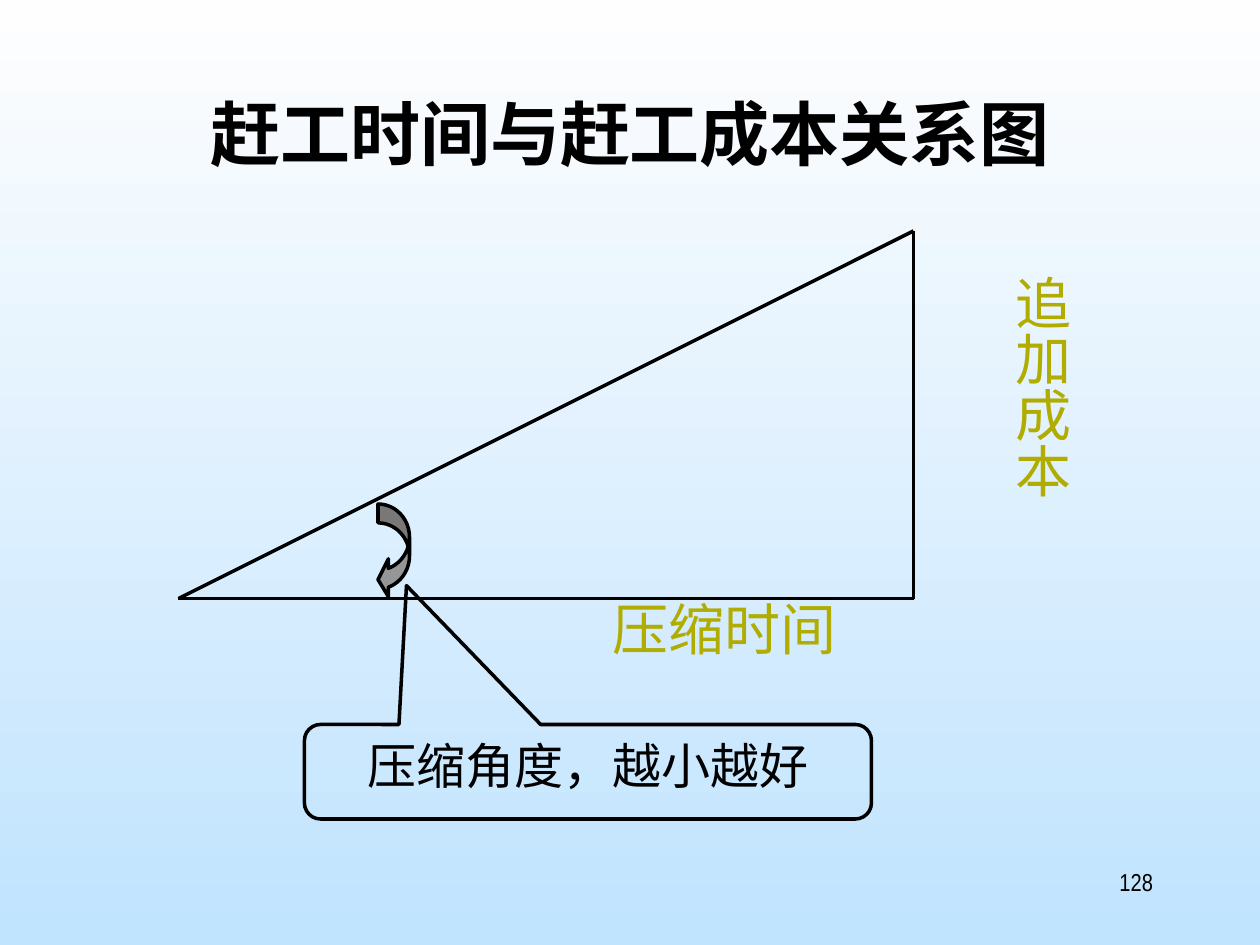
from dataclasses import dataclass

from pptx import Presentation
from pptx.dml.color import RGBColor
from pptx.enum.shapes import MSO_CONNECTOR, MSO_SHAPE
from pptx.enum.text import MSO_ANCHOR, PP_ALIGN
from pptx.oxml.ns import qn
from pptx.util import Inches, Pt


@dataclass(frozen=True)
class Theme:
    """Colours, fonts and sizes of the slide."""
    ink: RGBColor = RGBColor.from_string("000000")
    accent: RGBColor = RGBColor.from_string("B0AC00")
    arrow: RGBColor = RGBColor.from_string("969696")
    sky: tuple = (RGBColor.from_string("FEFEFE"), RGBColor.from_string("C0E3FE"))
    heading_font: str = "Noto Sans CJK SC"
    body_font: str = "Arial Narrow"
    title: int = 40
    label: int = 32
    note: int = 28
    number: int = 14
    stroke: int = 2


class DiagramSlide:
    """Draws elements on a grid of 120 columns and 90 rows."""

    def __init__(self, presentation, theme):
        self.theme = theme
        self.column = presentation.slide_width / 120
        self.row = presentation.slide_height / 90
        self.slide = presentation.slides.add_slide(presentation.slide_layouts[6])

    def place(self, left, top, width, height):
        """Turn grid units into slide lengths."""
        return (round(left * self.column), round(top * self.row),
                round(width * self.column), round(height * self.row))

    def background(self):
        """Fill the slide with a gradient from top to bottom."""
        fill = self.slide.background.fill
        fill.gradient()
        fill.gradient_angle = 270
        for stop, colour in zip(fill.gradient_stops, self.theme.sky):
            stop.color.rgb = colour

    def outline(self, line):
        """Give a line the common colour and width."""
        line.color.rgb = self.theme.ink
        line.width = Pt(self.theme.stroke)

    def set_text(self, shape, text, size, colour=None, font=None, bold=False,
                 align=PP_ALIGN.CENTER, vertical=False):
        """Set one styled paragraph in a shape."""
        frame = shape.text_frame
        frame.word_wrap = True
        frame.vertical_anchor = MSO_ANCHOR.TOP
        if vertical:
            frame._txBody.bodyPr.set("vert", "eaVert")
            frame.margin_left = frame.margin_right = Inches(0.05)
            frame.margin_top = frame.margin_bottom = Inches(0.1)
        paragraph = frame.paragraphs[0]
        paragraph.text = text
        paragraph.alignment = align
        paragraph.font.name = font or self.theme.body_font
        paragraph.font.size = Pt(size)
        paragraph.font.bold = bold
        paragraph.font.color.rgb = colour or self.theme.ink

    def text(self, box, text, size, **style):
        """Add a text box."""
        self.set_text(self.slide.shapes.add_textbox(*self.place(*box)), text, size, **style)

    def line(self, start, end):
        """Add a straight line between two grid points."""
        connector = self.slide.shapes.add_connector(
            MSO_CONNECTOR.STRAIGHT, *self.place(*start, *end))
        self.outline(connector.line)
        properties = connector._element.spPr
        properties.append(properties.makeelement(qn("a:effectLst"), {}))

    def shape(self, kind, box, adjustments, fill=None):
        """Add an outlined preset shape."""
        shape = self.slide.shapes.add_shape(kind, *self.place(*box))
        shape.shadow.inherit = False
        for index, value in enumerate(adjustments):
            shape.adjustments[index] = value
        if fill is None:
            shape.fill.background()
        else:
            shape.fill.solid()
            shape.fill.fore_color.rgb = fill
        self.outline(shape.line)
        return shape


def main():
    """Build the crash time and cost diagram."""
    presentation = Presentation()
    presentation.slide_width, presentation.slide_height = Inches(10), Inches(7.5)
    theme = Theme()
    diagram = DiagramSlide(presentation, theme)
    diagram.background()
    diagram.text((9, 8, 102, 15), "赶工时间与赶工成本关系图", theme.title,
                 font=theme.heading_font, bold=True)

    origin, corner, peak = (17, 57), (87, 57), (87, 22)
    for start, end in ((origin, corner), (corner, peak), (origin, peak)):
        diagram.line(start, end)

    diagram.shape(MSO_SHAPE.CURVED_LEFT_ARROW, (36, 48, 3, 9), (0.6, 1.2, 0.33), theme.arrow)
    callout = diagram.shape(MSO_SHAPE.ROUNDED_RECTANGULAR_CALLOUT, (29, 69, 54, 9),
                            (-0.32, -1.97, 0.17))
    diagram.set_text(callout, "压缩角度，越小越好", theme.note)

    diagram.text((94.2, 25, 8.8, 31), "追加成本", theme.label, colour=theme.accent, vertical=True)
    diagram.text((57, 56, 24, 7.7), "压缩时间", theme.label, colour=theme.accent)
    diagram.text((86, 82, 25, 6), "128", theme.number, align=PP_ALIGN.RIGHT)
    presentation.save("out.pptx")


if __name__ == "__main__":
    main()
